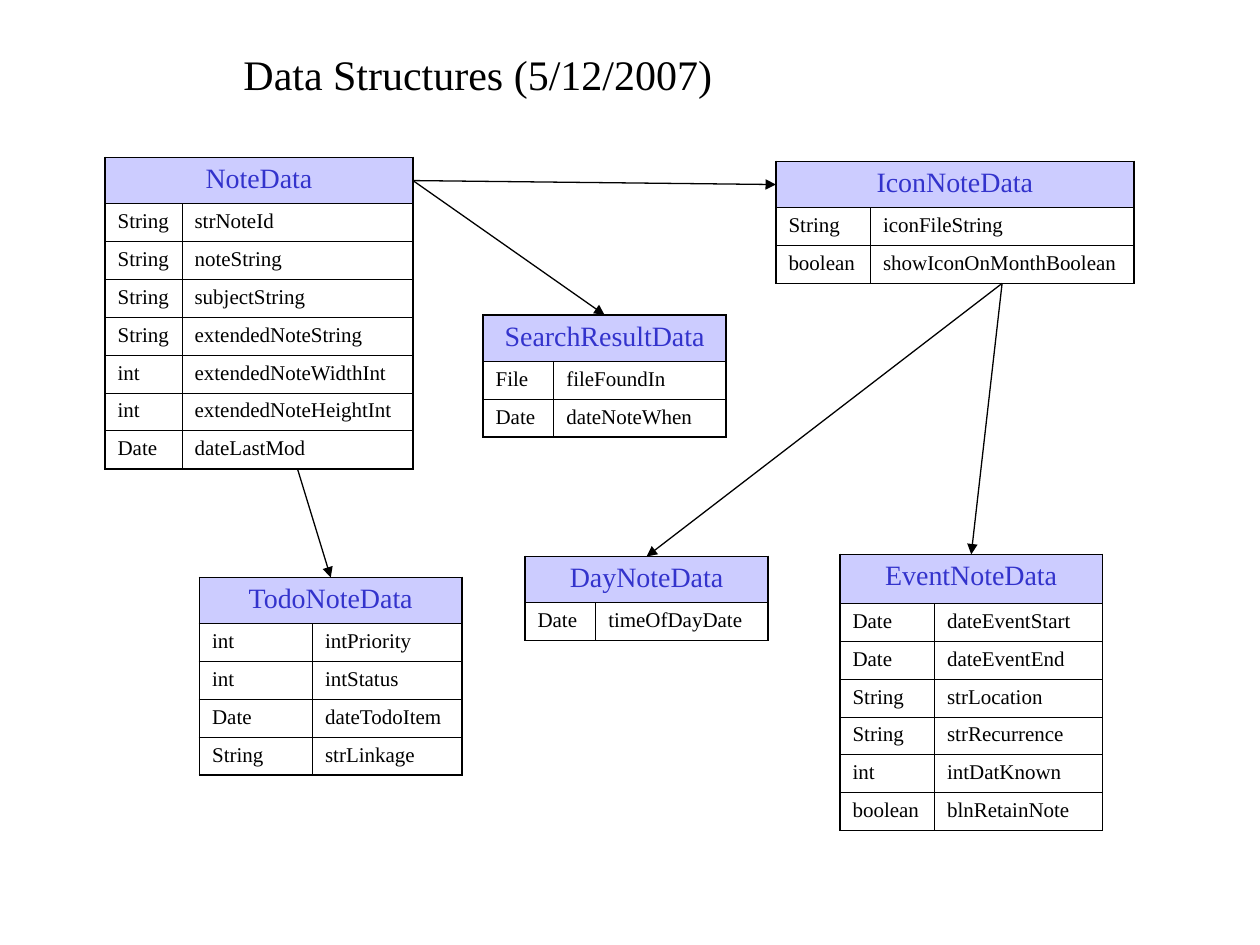
from dataclasses import dataclass

from lxml.etree import SubElement
from pptx import Presentation
from pptx.dml.color import RGBColor
from pptx.enum.shapes import MSO_CONNECTOR
from pptx.enum.text import PP_ALIGN
from pptx.oxml.ns import qn
from pptx.util import Pt

BLACK = RGBColor(0x00, 0x00, 0x00)
HEADER_TEXT = RGBColor(0x33, 0x33, 0xCC)
HEADER_FILL = RGBColor(0xCC, 0xCC, 0xFF)
FONT = "Times New Roman"
HEADER_HEIGHT = 26.4
ROW_HEIGHT = 21.65
OUTER, INNER = 1.08, 0.45


@dataclass
class Structure:
    """A named record: box origin, column widths and (type, field) rows, in points."""
    name: str
    left: float
    top: float
    type_width: float
    field_width: float
    fields: list
    header_height: float = HEADER_HEIGHT

    @property
    def width(self):
        return self.type_width + self.field_width

    @property
    def height(self):
        return self.header_height + ROW_HEIGHT * len(self.fields)

    def top_middle(self):
        return self.left + self.width / 2, self.top

    def header_left(self):
        return self.left, self.top + self.header_height / 2

    def header_right(self):
        return self.left + self.width, self.top + self.header_height / 2

    def field_bottom(self):
        return self.left + self.type_width + self.field_width / 2, self.top + self.height


NOTE = Structure("NoteData", 60, 90, 44, 132, [
    ("String", "strNoteId"), ("String", "noteString"), ("String", "subjectString"),
    ("String", "extendedNoteString"), ("int", "extendedNoteWidthInt"),
    ("int", "extendedNoteHeightInt"), ("Date", "dateLastMod")])
DAY = Structure("DayNoteData", 300, 318, 40.4, 98.6, [("Date", "timeOfDayDate")])
TODO = Structure("TodoNoteData", 114, 330, 64.6, 85.4, [
    ("int", "intPriority"), ("int", "intStatus"),
    ("Date", "dateTodoItem"), ("String", "strLinkage")])
EVENT = Structure("EventNoteData", 480, 316.8, 54, 96, [
    ("Date", "dateEventStart"), ("Date", "dateEventEnd"), ("String", "strLocation"),
    ("String", "strRecurrence"), ("int", "intDatKnown"),
    ("boolean", "blnRetainNote")], header_height=28)
ICON = Structure("IconNoteData", 443.4, 92.25, 54, 150.5, [
    ("String", "iconFileString"), ("boolean", "showIconOnMonthBoolean")])
SEARCH = Structure("SearchResultData", 276, 180, 40.4, 98.6, [
    ("File", "fileFoundIn"), ("Date", "dateNoteWhen")])


def style_paragraph(paragraph, text, size, color):
    paragraph.text = text
    paragraph.font.name = FONT
    paragraph.font.size = Pt(size)
    paragraph.font.color.rgb = color


def set_borders(cell, **widths):
    """Draw black borders; sides are given in schema order L, R, T, B."""
    properties = cell._tc.get_or_add_tcPr()
    for side, width in widths.items():
        line = SubElement(properties, qn(f"a:ln{side}"), w=str(int(Pt(width))))
        fill = SubElement(line, qn("a:solidFill"))
        SubElement(fill, qn("a:srgbClr"), val=str(BLACK))


def add_structure(slide, structure):
    row_count = len(structure.fields) + 1
    table = slide.shapes.add_table(
        row_count, 2, Pt(structure.left), Pt(structure.top),
        Pt(structure.width), Pt(structure.height)).table
    table.first_row = table.horz_banding = False
    table.columns[0].width = Pt(structure.type_width)
    table.columns[1].width = Pt(structure.field_width)

    for row_index, row in enumerate(table.rows):
        is_header = row_index == 0
        row.height = Pt(structure.header_height if is_header else ROW_HEIGHT)
        for column, cell in enumerate(row.cells):
            set_borders(
                cell,
                L=OUTER if column == 0 else INNER,
                R=OUTER if column == 1 or is_header else INNER,
                T=OUTER if is_header else INNER,
                B=OUTER if row_index == row_count - 1 else INNER)
            if is_header:
                cell.fill.solid()
                cell.fill.fore_color.rgb = HEADER_FILL
            else:
                cell.fill.background()
                text = structure.fields[row_index - 1][column]
                style_paragraph(cell.text_frame.paragraphs[0], text, 12, BLACK)

    header = table.cell(0, 0)
    header.merge(table.cell(0, 1))
    paragraph = header.text_frame.paragraphs[0]
    style_paragraph(paragraph, structure.name, 16, HEADER_TEXT)
    paragraph.alignment = PP_ALIGN.CENTER


def add_arrow(slide, start, end):
    connector = slide.shapes.add_connector(
        MSO_CONNECTOR.STRAIGHT, *(Pt(value) for value in start + end))
    connector.line.color.rgb = BLACK
    connector.line.width = Pt(0.75)
    SubElement(connector.line._get_or_add_ln(), qn("a:tailEnd"), type="triangle")
    SubElement(connector._element.spPr, qn("a:effectLst"))


def add_title(slide, left, top, width, height):
    box = slide.shapes.add_textbox(Pt(left), Pt(top), Pt(width), Pt(height))
    box.text_frame.word_wrap = True
    style_paragraph(box.text_frame.paragraphs[0], "Data Structures (5/12/2007)", 24, BLACK)


def main():
    presentation = Presentation()
    presentation.slide_width, presentation.slide_height = Pt(720), Pt(540)
    slide = presentation.slides.add_slide(presentation.slide_layouts[6])

    add_title(slide, 132, 24, 414, 36)
    for structure in (NOTE, DAY, TODO, EVENT, ICON, SEARCH):
        add_structure(slide, structure)
    for start, end in (
            (ICON.field_bottom(), DAY.top_middle()),
            (NOTE.field_bottom(), TODO.top_middle()),
            (NOTE.header_right(), ICON.header_left()),
            (ICON.field_bottom(), EVENT.top_middle()),
            (NOTE.header_right(), SEARCH.top_middle())):
        add_arrow(slide, start, end)

    presentation.save("out.pptx")


if __name__ == "__main__":
    main()
